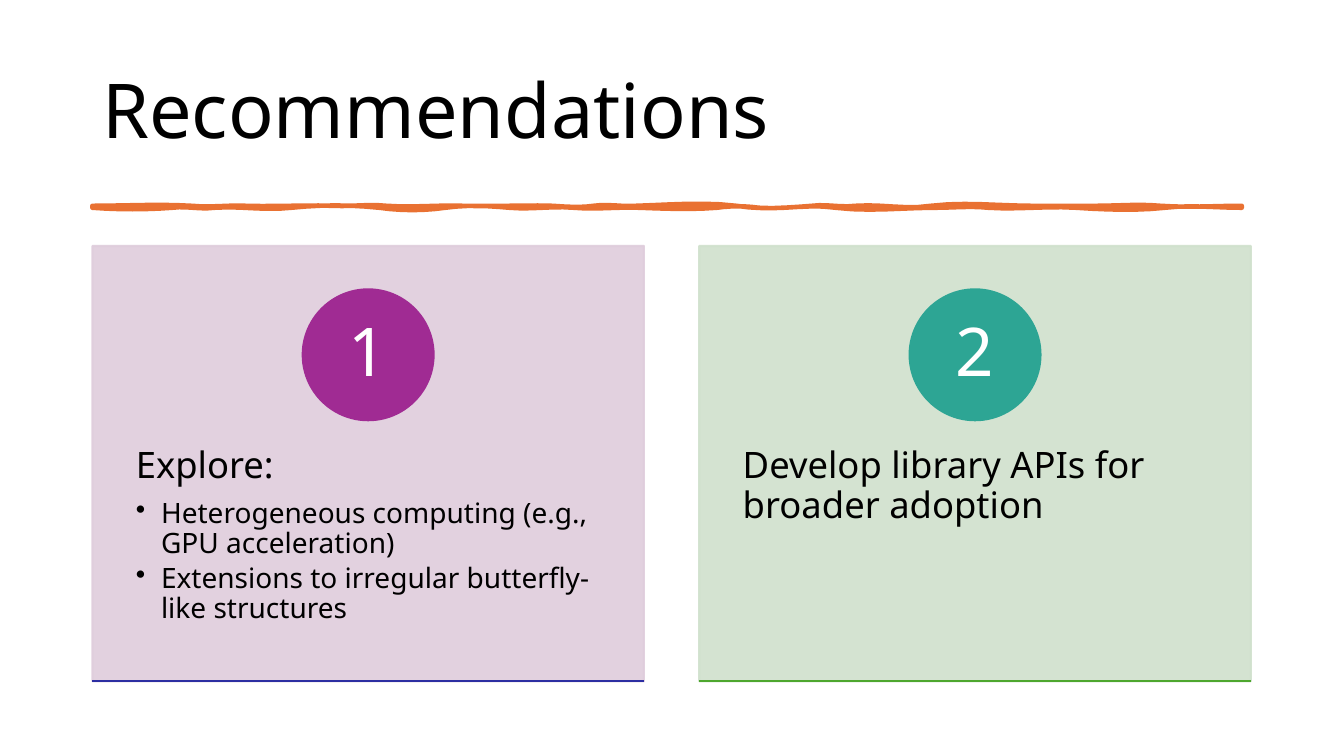
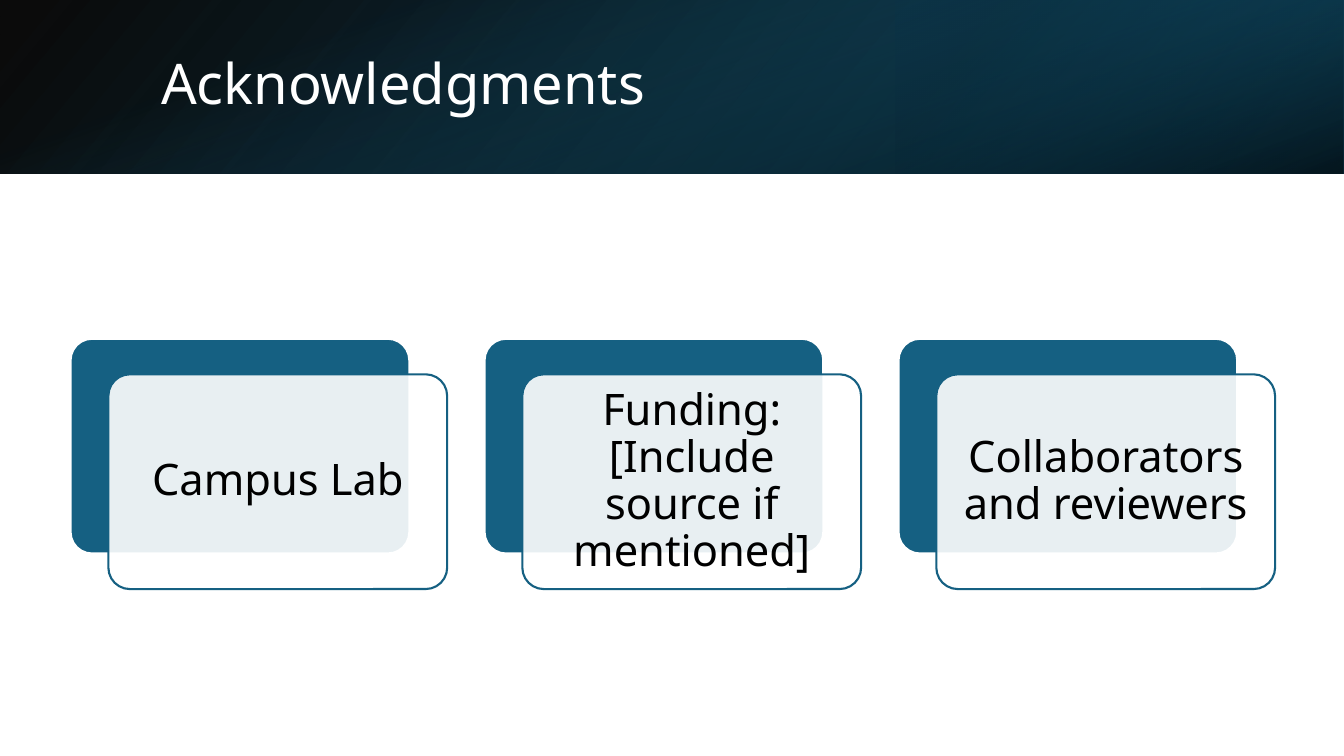
from dataclasses import dataclass

from lxml.etree import SubElement
from pptx import Presentation
from pptx.dml.color import RGBColor
from pptx.enum.shapes import MSO_CONNECTOR, MSO_SHAPE
from pptx.enum.text import MSO_ANCHOR, PP_ALIGN
from pptx.oxml.ns import qn
from pptx.util import Pt


@dataclass(frozen=True)
class Theme:
    font: str = "Noto Sans"
    black: str = "000000"
    white: str = "FFFFFF"
    orange: str = "E97132"
    blue: str = "156082"
    deep_blue: str = "104862"
    night_blue: str = "0B3041"
    title: int = 54
    band_title: int = 40
    number: int = 48
    panel: int = 31
    lead: int = 26
    bullet: int = 20
    leading: float = 0.9
    outline: float = 1.5


THEME = Theme()
WIDTH, HEIGHT = 960, 540

CARDS = [
    dict(number="1", tint="DFCDDC", disc="A02B93", rule="2C2EA2",
         lead="Explore:",
         bullets=["Heterogeneous computing (e.g., GPU acceleration)",
                  "Extensions to irregular butterfly-like structures"]),
    dict(number="2", tint="D0E1CD", disc="2DA594", rule="4EA72E",
         lead="Develop library APIs for broader adoption", bullets=[]),
]
PANELS = ["Campus Lab", "Funding: [Include source if mentioned]",
          "Collaborators and reviewers"]

# Each brush wave: end x, then the bend near its start and near its end.
BRUSH_TOP = [
    (137, 0, -1.4), (176, 1.4, -0.7), (238, 0.7, -0.7), (276, 0.7, -1.4),
    (331, 1.4, -0.7), (395, 0.7, -0.7), (424, 0.7, 1.4), (454, -1.4, 0.7),
    (526, -0.7, -2.9), (580, 2.9, 1.4), (611, -1.4, 1.4), (665, -1.4, 2.9),
    (737, -2.9, 0), (783, 0, 0), (829, 0, -1.4), (887, 1.4, 0),
]
BRUSH_BOTTOM = [
    (832, 0, -2.2), (769, 2.2, 1.4), (706, -1.4, 1.4), (668, -1.4, 0),
    (597, 0, 2.9), (542, -2.9, 1.4), (512, -1.4, -1.4), (457, 1.4, 0.7),
    (410, -0.7, 1.4), (364, -1.4, 1.4), (318, -1.4, -2.2), (271, 2.2, 2.2),
    (208, -2.2, -2.2), (153, 2.2, -1.4), (123, 1.4, -1.4), (66, 1.4, 1.4),
]


def rgb(color):
    return RGBColor.from_string(color)


def set_alpha(parent, percent):
    """Make every colour below parent partly transparent."""
    for clr in parent.iter(qn("a:srgbClr")):
        SubElement(clr, qn("a:alpha"), val=str(percent * 1000))


def paint(sp, fill, line=None, weight=THEME.outline):
    sp.shadow.inherit = False
    sp.fill.solid()
    sp.fill.fore_color.rgb = rgb(fill)
    if line:
        sp.line.color.rgb = rgb(line)
        sp.line.width = Pt(weight)
    else:
        sp.line.fill.background()


def add_box(slide, kind, x, y, w, h, fill, line=None):
    sp = slide.shapes.add_shape(kind, Pt(x), Pt(y), Pt(w), Pt(h))
    paint(sp, fill, line)
    return sp


def add_gradient(slide, x, w, h, angle, stops):
    """Add a band at the top; stops are (position, colour, opacity)."""
    sp = add_box(slide, MSO_SHAPE.RECTANGLE, x, 0, w, h, THEME.black)
    solid = sp.element.spPr.find(qn("a:solidFill"))
    grad = SubElement(sp.element.spPr, qn("a:gradFill"), rotWithShape="1")
    gs_list = SubElement(grad, qn("a:gsLst"))
    for pos, color, opacity in stops:
        gs = SubElement(gs_list, qn("a:gs"), pos=str(pos * 1000))
        clr = SubElement(gs, qn("a:srgbClr"), val=color)
        SubElement(clr, qn("a:alpha"), val=str(opacity * 1000))
    SubElement(grad, qn("a:lin"), ang=str(angle * 60000), scaled="0")
    sp.element.spPr.replace(solid, grad)


def add_rule(slide, x, y, w, color):
    line = slide.shapes.add_connector(
        MSO_CONNECTOR.STRAIGHT, Pt(x), Pt(y), Pt(x + w), Pt(y))
    line.line.color.rgb = rgb(color)
    line.line.width = Pt(THEME.outline)
    SubElement(line.element.spPr, qn("a:effectLst"))


def setup_frame(sp, anchor=MSO_ANCHOR.MIDDLE, inset_x=7.2, inset_y=3.6):
    tf = sp.text_frame
    tf.word_wrap = True
    tf.vertical_anchor = anchor
    tf.margin_left = tf.margin_right = Pt(inset_x)
    tf.margin_top = tf.margin_bottom = Pt(inset_y)
    return tf


def write(tf, text, size, color=THEME.black, align=PP_ALIGN.LEFT, after=0,
          bullet=False):
    """Fill the first empty paragraph or append a new one."""
    p = tf.paragraphs[0] if not tf.text else tf.add_paragraph()
    p.alignment = align
    p.line_spacing = THEME.leading
    p.space_after = Pt(after)
    if bullet:
        pPr = p._p.get_or_add_pPr()
        pPr.set("marL", str(Pt(18)))
        pPr.set("indent", str(-Pt(18)))
        SubElement(pPr, qn("a:buChar"), char="•")
    r = p.add_run()
    r.text = text
    r.font.name = THEME.font
    r.font.size = Pt(size)
    r.font.color.rgb = rgb(color)


def add_textbox(slide, x, y, w, h, **frame):
    sp = slide.shapes.add_textbox(Pt(x), Pt(y), Pt(w), Pt(h))
    return setup_frame(sp, **frame)


def wave_points(x, base, waves, steps=6):
    """Sample cubic waves that all start and end on the base line."""
    points = []
    for end, bend_in, bend_out in waves:
        for i in range(1, steps + 1):
            t = i / steps
            bend = 3 * t * (1 - t) * ((1 - t) * bend_in + t * bend_out)
            points.append((Pt(x + (end - x) * t), Pt(base + bend)))
        x = end
    return points


def add_brush_stroke(slide, left=66, right=887, top=147, thickness=1.4):
    bottom = top + thickness
    builder = slide.shapes.build_freeform(Pt(left), Pt(top))
    builder.add_line_segments(
        wave_points(left, top, BRUSH_TOP) + [(Pt(right), Pt(bottom))]
        + wave_points(right, bottom, BRUSH_BOTTOM))
    paint(builder.convert_to_shape(), THEME.orange, THEME.orange, 3.25)


def add_card(slide, x, card):
    y, w, h, disc = 175.7, 394, 311, 93.5
    sp = add_box(slide, MSO_SHAPE.RECTANGLE, x, y, w, h,
                 card["tint"], card["tint"])
    set_alpha(sp.element.spPr, 90)
    tf = add_textbox(slide, x, y + 118, w, 186.5, anchor=MSO_ANCHOR.TOP,
                     inset_x=31, inset_y=26)
    write(tf, card["lead"], THEME.lead, after=9)
    for text in card["bullets"]:
        write(tf, text, THEME.bullet, after=3, bullet=True)
    sp = add_box(slide, MSO_SHAPE.OVAL, x + (w - disc) / 2, y + 31, disc, disc,
                 card["disc"], card["disc"])
    write(setup_frame(sp, inset_x=0, inset_y=0), card["number"], THEME.number,
          color=THEME.white, align=PP_ALIGN.CENTER)
    add_rule(slide, x, y + h, w, card["rule"])


def add_panel(slide, x, text):
    y, w, h = 242, 242, 153.4
    back = add_box(slide, MSO_SHAPE.ROUNDED_RECTANGLE, x, y, w, h,
                   THEME.blue, THEME.white)
    front = add_box(slide, MSO_SHAPE.ROUNDED_RECTANGLE, x + 27, y + 25.4, w, h,
                    THEME.white, THEME.blue)
    for sp in (back, front):
        sp.adjustments[0] = 0.1
    set_alpha(front.element.spPr.find(qn("a:solidFill")), 90)
    write(setup_frame(front, inset_x=9, inset_y=9), text, THEME.panel,
          align=PP_ALIGN.CENTER)


def add_title_band(slide, text):
    h = 124
    add_gradient(slide, 0, WIDTH, h, 40,
                 [(0, THEME.black, 96), (100, THEME.deep_blue, 100)])
    add_gradient(slide, WIDTH * 2 / 3, WIDTH / 3, h, 40,
                 [(19, THEME.night_blue, 68), (100, THEME.blue, 79)])
    add_gradient(slide, 0, WIDTH, h, 70,
                 [(23, THEME.blue, 0), (99, THEME.black, 74)])
    write(add_textbox(slide, 108, 27.4, 790, 69), text, THEME.band_title,
          color=THEME.white)


def build_recommendations(slide):
    write(add_textbox(slide, 66, 29, 828, 104.4), "Recommendations",
          THEME.title)
    add_brush_stroke(slide)
    for i, card in enumerate(CARDS):
        add_card(slide, 66 + i * 433.5, card)


def build_acknowledgments(slide):
    add_title_band(slide, "Acknowledgments")
    for i, text in enumerate(PANELS):
        add_panel(slide, 50.4 + i * 295.7, text)


def main():
    prs = Presentation()
    prs.slide_width, prs.slide_height = Pt(WIDTH), Pt(HEIGHT)
    for build in (build_recommendations, build_acknowledgments):
        build(prs.slides.add_slide(prs.slide_layouts[6]))
    prs.save("out.pptx")


if __name__ == "__main__":
    main()
